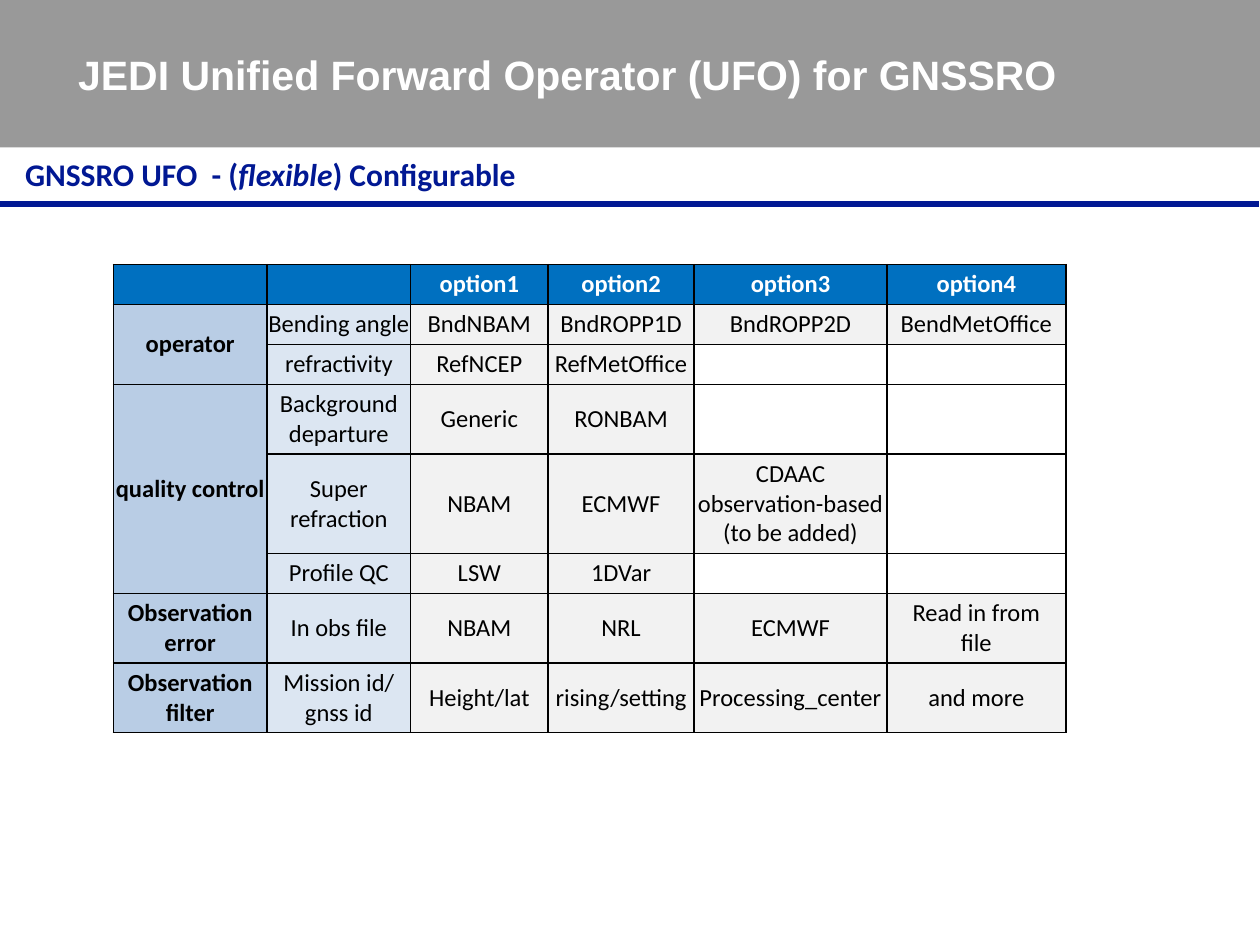
"""Build the slide on the configurable GNSSRO forward operator."""
from dataclasses import dataclass

import lxml.etree
import pptx
import pptx.dml.color
import pptx.enum.shapes
import pptx.enum.text
import pptx.oxml.ns
import pptx.util

Inches = pptx.util.Inches
qn = pptx.oxml.ns.qn


@dataclass(frozen=True)
class Theme:
    black: str = "000000"
    white: str = "FFFFFF"
    navy: str = "011893"
    header: str = "0070C0"
    group: str = "B9CDE5"
    item: str = "DCE6F2"
    option: str = "F2F2F2"
    heading_font: str = "Arial"
    body_font: str = "Calibri"
    title_size: float = 23.4
    subtitle_size: float = 18
    table_size: float = 14


THEME = Theme()
COLUMN_WIDTHS = [1.22, 1.14, 1.09, 1.16, 1.53, 1.42]
ROW_HEIGHTS = [0.3, 0.3, 0.3, 0.53, 0.75, 0.3, 0.53, 0.53]
ROWS = [
    ["", "", "option1", "option2", "option3", "option4"],
    ["operator", "Bending angle", "BndNBAM", "BndROPP1D", "BndROPP2D", "BendMetOffice"],
    ["", "refractivity", "RefNCEP", "RefMetOffice", "", ""],
    ["quality control", "Background departure", "Generic", "RONBAM", "", ""],
    ["", "Super refraction", "NBAM", "ECMWF",
     "CDAAC\nobservation-based\n(to be added)", ""],
    ["", "Profile QC", "LSW", "1DVar", "", ""],
    ["Observation error", "In obs file", "NBAM", "NRL", "ECMWF", "Read in from file"],
    ["Observation filter", "Mission id/\ngnss id", "Height/lat", "rising/setting",
     "Processing_center", "and more"],
]
GROUP_SPANS = [(1, 2), (3, 5)]


def rgb(color):
    return pptx.dml.color.RGBColor.from_string(color)


def style_font(font, name, size, color, bold):
    font.name = name
    font.size = pptx.util.Pt(size)
    font.color.rgb = rgb(color)
    font.bold = bold


def add_banner(slide):
    banner = slide.shapes.add_shape(
        pptx.enum.shapes.MSO_SHAPE.RECTANGLE, 0, 0, Inches(10), Inches(1.17))
    banner.shadow.inherit = False
    banner.line.fill.background()
    banner.fill.solid()
    banner.fill.fore_color.rgb = rgb(THEME.black)
    color = banner.element.spPr.find(qn("a:solidFill")).find(qn("a:srgbClr"))
    lxml.etree.SubElement(color, qn("a:alpha")).set("val", "40000")


def place_title(slide, text):
    title = slide.shapes.title
    title.left, title.top = Inches(0.52), Inches(0.12)
    title.width, title.height = Inches(8.11), Inches(0.94)
    frame = title.text_frame
    frame.text = text
    frame.auto_size = pptx.enum.text.MSO_AUTO_SIZE.NONE
    frame.vertical_anchor = pptx.enum.text.MSO_ANCHOR.MIDDLE
    paragraph = frame.paragraphs[0]
    paragraph.alignment = pptx.enum.text.PP_ALIGN.LEFT
    style_font(paragraph.font, THEME.heading_font, THEME.title_size, THEME.white, True)
    title.element.getparent().append(title.element)


def add_subtitle(slide, parts):
    box = slide.shapes.add_textbox(Inches(0.1), Inches(1.18), Inches(4.15), Inches(0.4))
    box.text_frame.word_wrap = False
    paragraph = box.text_frame.paragraphs[0]
    style_font(paragraph.font, THEME.body_font, THEME.subtitle_size, THEME.navy, True)
    for text, italic in parts:
        run = paragraph.add_run()
        run.text = text
        run.font.italic = italic


def add_rule(slide):
    rule = slide.shapes.add_connector(
        pptx.enum.shapes.MSO_CONNECTOR.STRAIGHT,
        0, Inches(1.62), Inches(9.99), Inches(1.62))
    rule.line.color.rgb = rgb(THEME.navy)
    rule.line.width = pptx.util.Pt(3)
    lxml.etree.SubElement(rule.element.spPr, qn("a:effectLst"))


def add_borders(cell):
    properties = cell._tc.get_or_add_tcPr()
    for side in ("lnL", "lnR", "lnT", "lnB"):
        line = lxml.etree.SubElement(properties, qn(f"a:{side}"), w="12700")
        fill = lxml.etree.SubElement(line, qn("a:solidFill"))
        lxml.etree.SubElement(fill, qn("a:srgbClr"), val=THEME.black)


def cell_fill(row, column, text):
    if row == 0:
        return THEME.header
    if column < 2:
        return (THEME.group, THEME.item)[column]
    return THEME.option if text else None


def format_cell(cell, row, column, text):
    add_borders(cell)
    color = cell_fill(row, column, text)
    if color:
        cell.fill.solid()
        cell.fill.fore_color.rgb = rgb(color)
    else:
        cell.fill.background()
    cell.margin_left = cell.margin_right = Inches(0.07 if column == 5 else 0)
    cell.margin_top = cell.margin_bottom = Inches(0.04)
    cell.vertical_anchor = pptx.enum.text.MSO_ANCHOR.MIDDLE
    cell.text = text
    for paragraph in cell.text_frame.paragraphs:
        paragraph.alignment = pptx.enum.text.PP_ALIGN.CENTER
        style_font(paragraph.font, THEME.body_font, THEME.table_size,
                   THEME.black if row else THEME.white, row == 0 or column == 0)


def add_options_table(slide):
    table = slide.shapes.add_table(
        len(ROWS), len(COLUMN_WIDTHS), Inches(0.9), Inches(2.1),
        Inches(sum(COLUMN_WIDTHS)), Inches(sum(ROW_HEIGHTS))).table
    table.first_row = table.horz_banding = False
    for column, width in zip(table.columns, COLUMN_WIDTHS):
        column.width = Inches(width)
    for row, height in zip(table.rows, ROW_HEIGHTS):
        row.height = Inches(height)
    for row, texts in enumerate(ROWS):
        for column, text in enumerate(texts):
            format_cell(table.cell(row, column), row, column, text)
    for first, last in GROUP_SPANS:
        table.cell(first, 0).merge(table.cell(last, 0))


def main():
    presentation = pptx.Presentation()
    presentation.slide_width, presentation.slide_height = Inches(10), Inches(7.5)
    slide = presentation.slides.add_slide(presentation.slide_layouts.get_by_name("Title Only"))
    add_banner(slide)
    add_options_table(slide)
    add_subtitle(slide, [("GNSSRO UFO  - (", False), ("flexible", True),
                         (") Configurable", False)])
    add_rule(slide)
    place_title(slide, "JEDI Unified Forward Operator (UFO) for GNSSRO")
    presentation.save("out.pptx")


if __name__ == "__main__":
    main()
